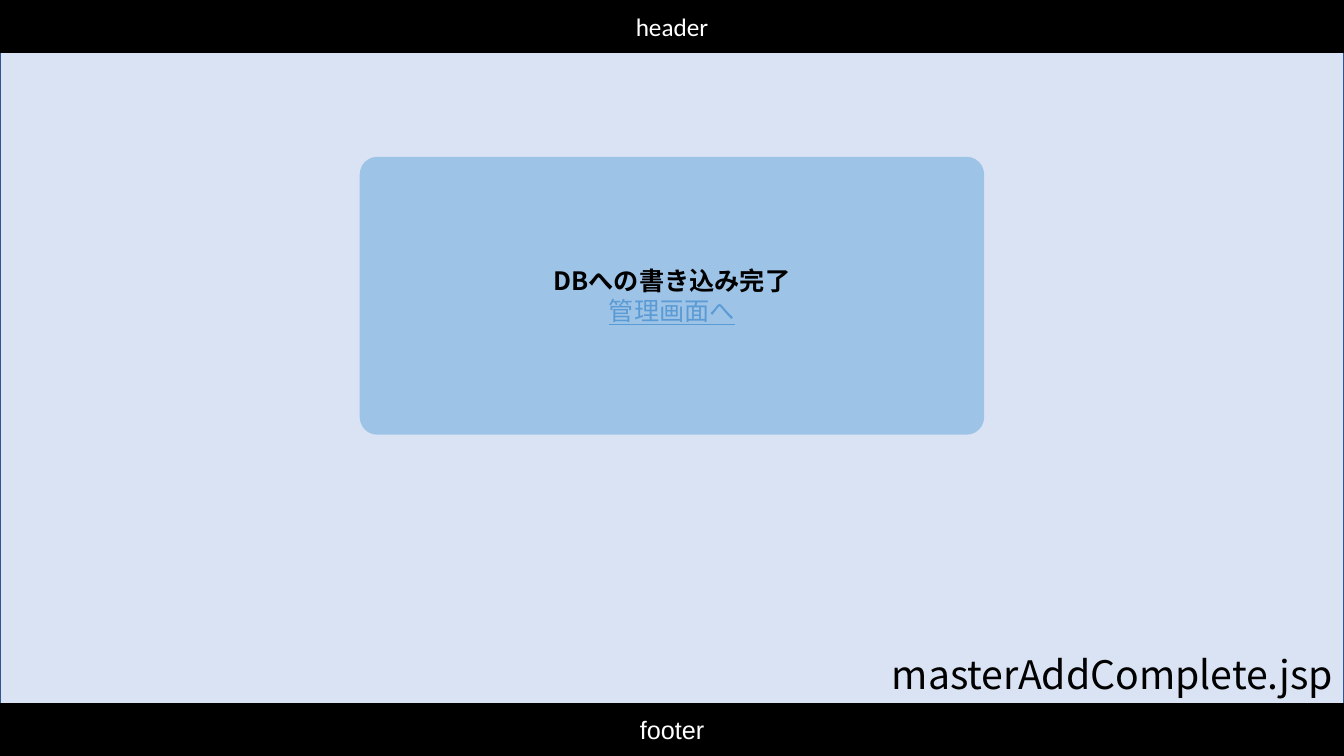
from pptx import Presentation
from pptx.dml.color import RGBColor
from pptx.enum.shapes import MSO_SHAPE
from pptx.enum.text import MSO_ANCHOR, MSO_AUTO_SIZE, PP_ALIGN
from pptx.oxml.ns import qn
from pptx.util import Pt
from lxml.etree import SubElement

COLORS = {
    "page": "DAE3F3",
    "page_line": "325491",
    "panel": "9DC3E6",
    "black": "000000",
    "white": "FFFFFF",
    "link": "5B9BD5",
}
SLIDE_WIDTH, SLIDE_HEIGHT = 960, 540
BAR_HEIGHT = 37.5
JAPANESE_FONT = "Noto Sans CJK JP"


def add_box(kind, left, top, width, height, fill, line=None):
    shape = slide.shapes.add_shape(kind, Pt(left), Pt(top), Pt(width), Pt(height))
    shape.shadow.inherit = False
    shape.fill.solid()
    shape.fill.fore_color.rgb = RGBColor.from_string(COLORS[fill])
    if line:
        shape.line.color.rgb = RGBColor.from_string(COLORS[line])
        shape.line.width = Pt(1)
    else:
        shape.line.fill.background()
    return shape


def write(paragraph, text, font=JAPANESE_FONT, size=18, color="black",
          bold=False, underline=False, align=PP_ALIGN.CENTER):
    paragraph.alignment = align
    run = paragraph.add_run()
    run.text = text
    run.font.size = Pt(size)
    run.font.bold = bold
    run.font.underline = underline
    run.font.color.rgb = RGBColor.from_string(COLORS[color])
    run.font.name = font
    # East Asian characters take their font from a separate element
    SubElement(run.font._element, qn("a:ea")).set("typeface", font)


presentation = Presentation()
presentation.slide_width = Pt(SLIDE_WIDTH)
presentation.slide_height = Pt(SLIDE_HEIGHT)
slide = presentation.slides.add_slide(presentation.slide_layouts[6])

# Page area and message panel
add_box(MSO_SHAPE.RECTANGLE, 0, BAR_HEIGHT, SLIDE_WIDTH,
        SLIDE_HEIGHT - 2 * BAR_HEIGHT, "page", "page_line")
panel = add_box(MSO_SHAPE.ROUNDED_RECTANGLE, 257, 112, 446, 198.5, "panel")
panel.adjustments[0] = 0.063

# Header and footer bars
for text, top, font in (("header", 0, "Calibri"),
                        ("footer", SLIDE_HEIGHT - BAR_HEIGHT, "Arial")):
    bar = add_box(MSO_SHAPE.RECTANGLE, 0, top, SLIDE_WIDTH, BAR_HEIGHT, "black", "black")
    bar.text_frame.vertical_anchor = MSO_ANCHOR.MIDDLE
    write(bar.text_frame.paragraphs[0], text, font=font, color="white")

# File name and completion message
file_name = slide.shapes.add_textbox(Pt(630), Pt(461), Pt(330), Pt(41))
message = slide.shapes.add_textbox(Pt(237.5), Pt(186), Pt(485), Pt(51))
for text_box in (file_name, message):
    text_box.text_frame.word_wrap = True
    text_box.text_frame.auto_size = MSO_AUTO_SIZE.SHAPE_TO_FIT_TEXT

# A narrow right margin keeps the file name on one line
file_name.text_frame.margin_right = Pt(3)
write(file_name.text_frame.paragraphs[0], "masterAddComplete.jsp",
      size=28, align=PP_ALIGN.LEFT)
write(message.text_frame.paragraphs[0], "DBへの書き込み完了", bold=True)
write(message.text_frame.add_paragraph(), "管理画面へ", color="link", underline=True)

presentation.save("out.pptx")
